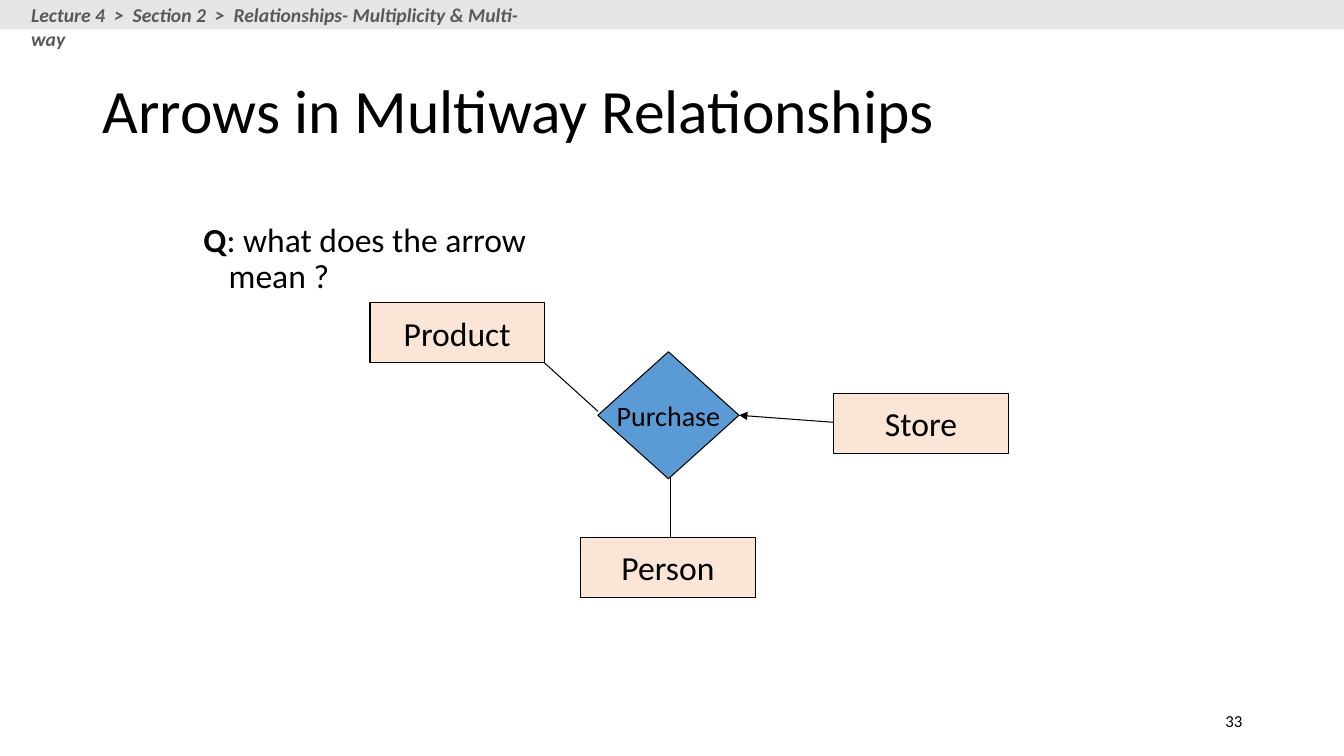
from lxml import etree
from pptx import Presentation
from pptx.dml.color import RGBColor
from pptx.enum.shapes import MSO_CONNECTOR, MSO_SHAPE
from pptx.enum.text import MSO_ANCHOR, MSO_AUTO_SIZE, PP_ALIGN
from pptx.oxml.ns import qn
from pptx.util import Inches, Pt

BLACK = RGBColor(0x00, 0x00, 0x00)
CRUMB_GRAY = RGBColor(0x59, 0x59, 0x59)
BAND_GRAY = RGBColor(0xE7, 0xE6, 0xE6)
PEACH = RGBColor(0xFB, 0xE5, 0xD6)
BLUE = RGBColor(0x5B, 0x9B, 0xD5)

TITLE_ONLY = 5
ENTITY_SIZE = (1.73, 0.6)
ENTITIES = {"Product": (3.67, 3), "Person": (5.76, 5.33), "Store": (8.27, 3.9)}


def style_font(paragraph, size, color=BLACK):
    font = paragraph.font
    font.name = "Calibri"
    font.size = Pt(size)
    font.color.rgb = color
    return font


def add_title(slide, text):
    title = slide.shapes.title
    title.left, title.top = Inches(0.92), Inches(0.4)
    title.width, title.height = Inches(11.5), Inches(1.45)
    frame = title.text_frame
    frame.text = text
    frame.auto_size = MSO_AUTO_SIZE.NONE
    frame.vertical_anchor = MSO_ANCHOR.MIDDLE
    heading = frame.paragraphs[0]
    heading.alignment = PP_ALIGN.LEFT
    heading.line_spacing = 0.9
    style_font(heading, 44)


def add_text(slide, box, text, size, color=BLACK, anchor=MSO_ANCHOR.TOP):
    """Add a wrapping text box and return its first paragraph."""
    frame = slide.shapes.add_textbox(*map(Inches, box)).text_frame
    frame.word_wrap = True
    frame.vertical_anchor = anchor
    paragraph = frame.paragraphs[0]
    paragraph.text = text
    style_font(paragraph, size, color)
    return paragraph


def add_node(slide, preset, box, fill, label="", size=24, outlined=True):
    node = slide.shapes.add_shape(preset, *map(Inches, box))
    node.shadow.inherit = False
    node.fill.solid()
    node.fill.fore_color.rgb = fill
    if outlined:
        node.line.color.rgb = BLACK
        node.line.width = Pt(0.75)
    else:
        node.line.fill.background()
    if label:
        frame = node.text_frame
        frame.text = label
        frame.word_wrap = False
        frame.vertical_anchor = MSO_ANCHOR.MIDDLE
        frame.paragraphs[0].alignment = PP_ALIGN.CENTER
        style_font(frame.paragraphs[0], size)


def add_link(slide, start, end, arrow=False):
    link = slide.shapes.add_connector(
        MSO_CONNECTOR.STRAIGHT, *map(Inches, start + end))
    link.line.color.rgb = BLACK
    link.line.width = Pt(0.75)
    if arrow:
        line_xml = link.line._get_or_add_ln()
        etree.SubElement(line_xml, qn("a:tailEnd"), type="triangle")
    etree.SubElement(link._element.spPr, qn("a:effectLst"))


def add_question(slide):
    question = add_text(slide, (1.92, 2.17, 4.37, 0.46), "Q", 24)
    question.runs[0].font.bold = True
    question.add_run().text = ": what does the arrow mean ?"
    question.line_spacing = 0.9
    properties = question._p.get_or_add_pPr()
    properties.set("marL", str(Inches(0.25)))
    properties.set("indent", str(Inches(-0.25)))


def add_diagram(slide):
    add_node(slide, MSO_SHAPE.DIAMOND, (5.93, 3.49, 1.4, 1.26), BLUE,
             "Purchase", 20)
    for entity, corner in ENTITIES.items():
        add_node(slide, MSO_SHAPE.RECTANGLE, corner + ENTITY_SIZE, PEACH, entity)
    add_link(slide, (6.65, 4.73), (6.65, 5.33))
    add_link(slide, (5.4, 3.6), (5.93, 4.08))
    add_link(slide, (8.27, 4.19), (7.33, 4.12), arrow=True)


def add_breadcrumb(slide):
    add_node(slide, MSO_SHAPE.RECTANGLE, (0, 0, 13.33, 0.29), BAND_GRAY,
             outlined=False)
    crumb = add_text(
        slide, (0.21, -0.02, 5.21, 0.34),
        "Lecture 4  >  Section 2  >  Relationships- Multiplicity & Multi-way",
        14, CRUMB_GRAY)
    crumb.font.bold = True
    crumb.font.italic = True


def main():
    deck = Presentation()
    deck.slide_width, deck.slide_height = Inches(13.33), Inches(7.5)
    slide = deck.slides.add_slide(deck.slide_layouts[TITLE_ONLY])
    add_title(slide, "Arrows in Multiway Relationships")
    add_question(slide)
    add_diagram(slide)
    add_breadcrumb(slide)
    page_number = add_text(slide, (9.42, 6.95, 3, 0.4), "33", 12,
                           anchor=MSO_ANCHOR.MIDDLE)
    page_number.alignment = PP_ALIGN.RIGHT
    deck.save("out.pptx")


if __name__ == "__main__":
    main()
